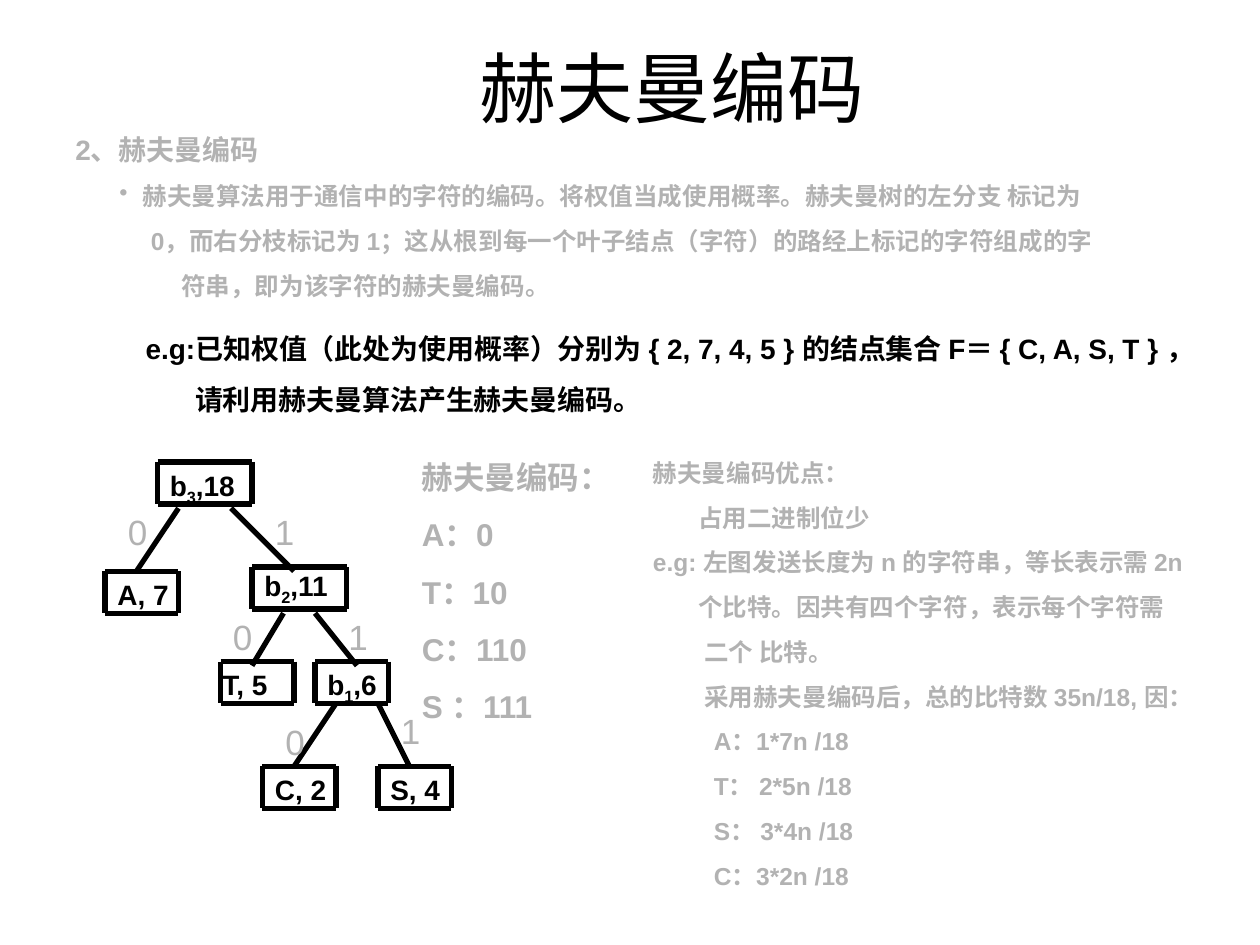
from pptx import Presentation
from pptx import util as u
from pptx.dml.color import RGBColor
from pptx.enum import shapes, text
from pptx.oxml.ns import qn
from lxml import etree

PX = 7620
BLACK = RGBColor(0, 0, 0)
GRAY = RGBColor(0xB2, 0xB2, 0xB2)

INTRO = [
    ("2、赫夫曼编码", 60, 16, 10),
    ("赫夫曼算法用于通信中的字符的编码。将权值当成使用概率。赫夫曼树的左分支 标记为", 124, 14, 8.8),
    ("0，而右分枝标记为 1；这从根到每一个叶子结点（字符）的路经上标记的字符组成的字", 132, 14, 8.8),
    ("符串，即为该字符的赫夫曼编码。", 161, 14, 8.8),
]
TASK = [
    ("e.g:已知权值（此处为使用概率）分别为 { 2, 7, 4, 5 } 的结点集合 F＝ { C, A, S, T } ，", 127, 16, 10),
    ("请利用赫夫曼算法产生赫夫曼编码。", 174, 16, 10),
]
CODES = ["赫夫曼编码：", "A：0", "T：10", "C：110", "S ：111"]
GAINS = [
    ("赫夫曼编码优点：", 0),
    ("占用二进制位少", 43),
    ("e.g: 左图发送长度为 n 的字符串，等长表示需 2n", 0),
    ("个比特。因共有四个字符，表示每个字符需", 43),
    ("二个 比特。", 49),
    ("采用赫夫曼编码后，总的比特数 35n/18, 因：", 49),
    ("A：1*7n /18", 58),
    ("T： 2*5n /18", 58),
    ("S： 3*4n /18", 58),
    ("C：3*2n /18", 58),
]
NODES = [
    (150, 440, 90, 0, 0, ("b", "3", ",18")),
    (240, 540, 90, 0, -4, ("b", "2", ",11")),
    (100, 544, 70, 0, 0, ("A, 7",)),
    (210, 630, 70, -10, 0, ("T, 5",)),
    (300, 630, 70, 0, 0, ("b", "1", ",6")),
    (250, 730, 70, 0, 0, ("C, 2",)),
    (360, 730, 70, 0, 0, ("S, 4",)),
]
EDGES = [
    (170, 484, 130, 544), (220, 484, 280, 544),
    (270, 584, 240, 634), (300, 584, 340, 634),
    (320, 670, 280, 730), (360, 670, 390, 730),
]
BITS = [
    ("0", 110, 480), ("1", 250, 480),
    ("0", 210, 580), ("1", 320, 580),
    ("0", 260, 680), ("1", 370, 670),
]


def frame(slide, x, y, w, h, grow=True):
    box = slide.shapes.add_textbox(x * PX, y * PX, w * PX, h * PX)
    body = box.text_frame
    body.word_wrap = True
    if grow:
        body.auto_size = text.MSO_AUTO_SIZE.SHAPE_TO_FIT_TEXT
    return body


def style(para, size, color, bold=True, face="Arial"):
    for run in para.runs:
        font = run.font
        font.name, font.size, font.bold = face, u.Pt(size), bold
        font.color.rgb = color


def block(slide, spot, rows, color):
    body = frame(slide, *spot)
    body.text = "\n".join(row[0] for row in rows)
    for para, (_, left, size, gap) in zip(body.paragraphs, rows):
        para.space_before = u.Pt(gap)
        para._p.get_or_add_pPr().set("marL", str(left * PX))
        style(para, size, color)
    return body


def bullet(para, hang):
    props = para._p.get_or_add_pPr()
    props.set("indent", str(-hang * PX))
    etree.SubElement(props, qn("a:buChar")).set("char", "•")


def line(slide, x1, y1, x2, y2):
    rule = slide.shapes.add_connector(
        shapes.MSO_CONNECTOR.STRAIGHT, x1 * PX, y1 * PX, x2 * PX, y2 * PX)
    rule.line.color.rgb = BLACK
    rule.line.width = u.Pt(3)
    etree.SubElement(rule._element.spPr, qn("a:effectLst"))


def node(slide, x, y, w, dx, dy, parts):
    right, base = x + w, y + 40
    line(slide, x, y, right, y)
    line(slide, x, base, right, base)
    line(slide, x, y, x, base)
    line(slide, right, y, right, base)
    para = frame(slide, x + dx, y + dy, 100, 45).paragraphs[0]
    para.space_before = u.Pt(10)
    for part in parts:
        para.add_run().text = part
    style(para, 16, BLACK)
    if len(parts) > 1:
        para.runs[1].font._element.set("baseline", "-25000")


def bit(slide, label, x, y):
    para = frame(slide, x, y, 40, 53).paragraphs[0]
    para.text = label
    para.alignment = text.PP_ALIGN.RIGHT
    para.space_before = u.Pt(12.5)
    style(para, 20, GRAY, False)


def title(slide):
    body = frame(slide, 187, 38, 906, 89, False)
    body.vertical_anchor = text.MSO_ANCHOR.MIDDLE
    body.text = "赫夫曼编码"
    para = body.paragraphs[0]
    para.alignment = text.PP_ALIGN.CENTER
    style(para, 44, BLACK, False, "Times New Roman")


def main():
    deck = Presentation()
    deck.slide_width, deck.slide_height = 1200 * PX, 900 * PX
    slide = deck.slides.add_slide(deck.slide_layouts[6])
    title(slide)
    intro = block(slide, (0, 120, 1090, 172), INTRO, GRAY)
    bullet(intro.paragraphs[1], 22)
    block(slide, (0, 310, 1200, 92), TASK, BLACK)
    for item in NODES:
        node(slide, *item)
    for edge in EDGES:
        line(slide, *edge)
    for item in BITS:
        bit(slide, *item)
    block(slide, (390, 430, 250, 268), [(row, 0, 18, 11.2) for row in CODES], GRAY)
    block(slide, (610, 430, 570, 467), [(*row, 14, 8.8) for row in GAINS], GRAY)
    deck.save("out.pptx")


if __name__ == "__main__":
    main()
